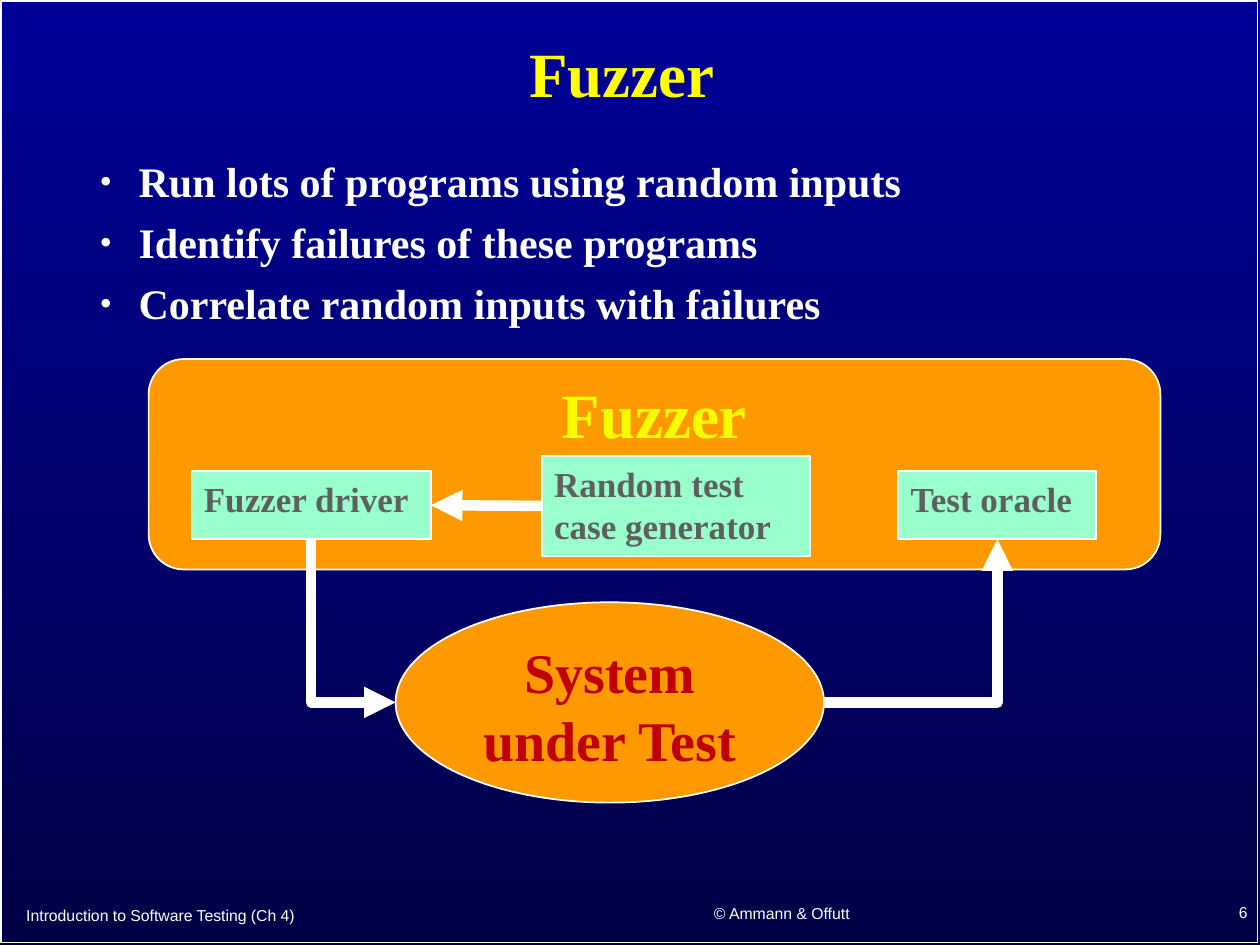
import dataclasses

import pptx
import pptx.dml.color
import pptx.enum.shapes
import pptx.enum.text
import pptx.oxml
import pptx.oxml.ns
import pptx.util

CELL = 0.1  # inches: the page is a grid of 100 columns and 75 rows
COLORS = {
    "sky": "000099", "night": "000047", "white": "FFFFFF", "title": "FFFF00",
    "heading": "FAFD00", "orange": "FF9900", "mint": "99FFCC",
    "label": "5F5F5F", "red": "C00000",
}
SHAPES = pptx.enum.shapes.MSO_SHAPE
ALIGN = pptx.enum.text.PP_ALIGN
ANCHOR = pptx.enum.text.MSO_ANCHOR
SERIF = {"name": "Times New Roman", "bold": True}
FOOTER_FONT = {"name": "Arial", "size": pptx.util.Pt(9), "bold": False}


@dataclasses.dataclass
class Box:
    left: float
    top: float
    width: float
    height: float

    def inner(self, left, top, width, height):
        """Return a box whose place is counted in cells from this one."""
        return Box(self.left + left, self.top + top, width, height)

    def lengths(self):
        return [cells(value) for value in dataclasses.astuple(self)]


def cells(count):
    return pptx.util.Inches(count * CELL)


def color(name):
    return pptx.dml.color.RGBColor.from_string(COLORS[name])


def set_all(target, values):
    for name, value in values.items():
        setattr(target, name, value)


def add_xml(parent, *tags):
    namespace = pptx.oxml.ns.nsdecls("a")
    for tag in tags:
        parent.append(pptx.oxml.parse_xml(f"<a:{tag} {namespace}/>"))


def format_text(frame, anchor, para_format, font, font_color):
    set_all(frame, {"word_wrap": True, "vertical_anchor": anchor,
                    "auto_size": pptx.enum.text.MSO_AUTO_SIZE.NONE})
    for para in frame.paragraphs:
        set_all(para, para_format)
        for span in para.runs:
            set_all(span.font, font)
            span.font.color.rgb = color(font_color)


def place(shape, box):
    set_all(shape, dict(zip(("left", "top", "width", "height"), box.lengths())))


def add_panel(page, kind, box, fill=None):
    shape = page.shapes.add_shape(kind, *box.lengths())
    shape.shadow.inherit = False
    if fill:
        shape.fill.solid()
        shape.fill.fore_color.rgb = color(fill)
    else:
        shape.fill.background()
    shape.line.color.rgb = color("white")
    shape.line.width = pptx.util.Pt(1)
    return shape


def add_labelled(page, kind, box, fill, text, size, font_color, align):
    shape = add_panel(page, kind, box, fill)
    shape.text_frame.text = text
    font = {**SERIF, "size": pptx.util.Pt(size)}
    format_text(shape.text_frame, ANCHOR.TOP, {"alignment": align}, font, font_color)
    return shape


def style_arrow(connector, arrow_end):
    connector.line.color.rgb = color("white")
    connector.line.width = pptx.util.Pt(6)
    properties = connector._element.spPr
    line = properties.find(pptx.oxml.ns.qn("a:ln"))
    add_xml(line, "round", f'{arrow_end} type="triangle"')
    add_xml(properties, "effectLst")


def add_corner_arrow(page, start, target, arrow_end):
    """Draw a line sideways from start, then up to the bottom of target."""
    left, top = (cells(value) for value in start)
    connector = page.shapes.add_connector(
        pptx.enum.shapes.MSO_CONNECTOR.ELBOW, left, top, left, top)
    connector.end_connect(target, 2)
    geometry = connector._element.spPr.find(pptx.oxml.ns.qn("a:prstGeom"))
    geometry.set("prst", "bentConnector2")
    style_arrow(connector, arrow_end)


def paint_background(page, box):
    fill = page.background.fill
    fill.gradient()
    fill.gradient_angle = 270
    for stop, name, position in zip(fill.gradient_stops, ("sky", "night"), (0, 1)):
        stop.color.rgb = color(name)
        stop.position = position
    add_panel(page, SHAPES.RECTANGLE, box.inner(0.1, 0.1, 99.7, 74.7))


def fill_title(page, box):
    title = page.shapes.title
    place(title, box)
    title.text_frame.text = "Fuzzer"
    format_text(title.text_frame, ANCHOR.MIDDLE,
                {"alignment": ALIGN.CENTER, "line_spacing": 0.9},
                {**SERIF, "size": pptx.util.Pt(36)}, "title")


def fill_body(page, box):
    body = page.placeholders[1]
    place(body, box)
    frame = body.text_frame
    frame.text = "\n".join((
        "Run lots of programs using random inputs",
        "Identify failures of these programs",
        "Correlate random inputs with failures",
    ))
    indent = cells(3.1)
    for para in frame.paragraphs:
        properties = para._p.get_or_add_pPr()
        properties.set("marL", str(indent))
        properties.set("indent", str(-indent))
        add_xml(properties, 'buSzPct val="85000"',
                'buFont typeface="Times New Roman"', 'buChar char="•"')
    format_text(frame, ANCHOR.TOP,
                {"line_spacing": 0.9, "space_before": pptx.util.Pt(9)},
                {**SERIF, "size": pptx.util.Pt(24)}, "white")
    frame.paragraphs[0].space_before = pptx.util.Pt(0)


def draw_diagram(page, box):
    add_labelled(page, SHAPES.FLOWCHART_ALTERNATE_PROCESS, box.inner(0, 0, 80.3, 16.7),
                 "orange", "Fuzzer", 36, "heading", ALIGN.CENTER)
    system = box.inner(19.6, 19.3, 34, 15.9)
    add_labelled(page, SHAPES.OVAL, system, "orange", "System under Test",
                 32, "red", ALIGN.CENTER)
    driver, generator, oracle = (
        add_labelled(page, SHAPES.RECTANGLE, box.inner(*place_in_box), "mint", text,
                     20, "label", ALIGN.LEFT)
        for text, place_in_box in (
            ("Fuzzer driver", (3.4, 8.9, 19, 5.4)),
            ("Random test case generator", (31.2, 7.7, 21.3, 7.9)),
            ("Test oracle", (59.5, 8.9, 15.7, 5.4)),
        ))
    middle = system.top + system.height / 2
    add_corner_arrow(page, (system.left, middle), driver, "headEnd")
    add_corner_arrow(page, (system.left + system.width, middle), oracle, "tailEnd")
    feed = page.shapes.add_connector(
        pptx.enum.shapes.MSO_CONNECTOR.STRAIGHT, 0, 0, 0, 0)
    feed.begin_connect(generator, 1)
    feed.end_connect(driver, 3)
    style_arrow(feed, "tailEnd")


def add_footer(page, box):
    for text, place_in_box, align in (
        ("Introduction to Software Testing (Ch 4)", (1.1, 0.3, 43.1, 3.8), ALIGN.LEFT),
        ("© Ammann & Offutt", (46.2, 0.1, 31.7, 3.9), ALIGN.CENTER),
        ("6", (79.2, 0, 20.8, 4), ALIGN.RIGHT),
    ):
        note = page.shapes.add_textbox(*box.inner(*place_in_box).lengths())
        note.text_frame.text = text
        format_text(note.text_frame, ANCHOR.MIDDLE, {"alignment": align},
                    FOOTER_FONT, "white")


def main():
    deck = pptx.Presentation()
    deck.slide_width, deck.slide_height = cells(100), cells(75)
    page = deck.slides.add_slide(deck.slide_layouts[1])
    whole = Box(0, 0, 100, 75)
    paint_background(page, whole)
    fill_title(page, whole.inner(0.9, 1.1, 96.9, 10))
    fill_body(page, whole.inner(6.9, 12.3, 85.2, 56.6))
    draw_diagram(page, whole.inner(11.8, 28.5, 80.3, 35.2))
    add_footer(page, whole.inner(0, 70.4, 100, 4.6))
    deck.save("out.pptx")


if __name__ == "__main__":
    main()
